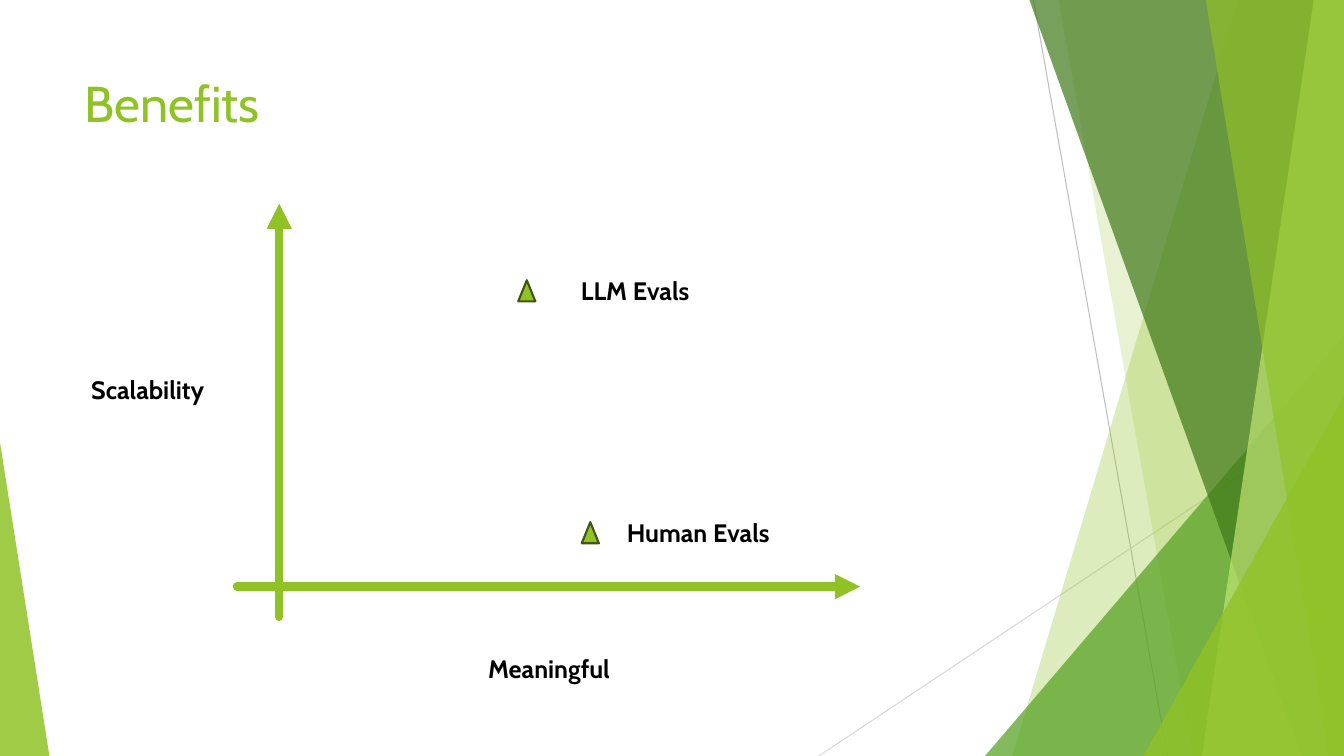
from lxml import etree
from pptx import Presentation
from pptx.dml.color import RGBColor
from pptx.enum.shapes import MSO_CONNECTOR, MSO_SHAPE
from pptx.enum.text import MSO_ANCHOR, PP_ALIGN
from pptx.oxml.ns import qn
from pptx.util import Inches, Pt

STRAIGHT = MSO_CONNECTOR.STRAIGHT
TRIANGLE = MSO_SHAPE.ISOSCELES_TRIANGLE
TOP, MIDDLE = MSO_ANCHOR.TOP, MSO_ANCHOR.MIDDLE
LEFT, CENTER = PP_ALIGN.LEFT, PP_ALIGN.CENTER

FONT = "Cabin"
WIDTH, HEIGHT = 13.33, 7.5
COLORS = {
    "lime": "90C226",
    "green": "54A021",
    "forest": "3F7819",
    "pale": "C0E474",
    "outline": "3F5511",
    "gray": "BFBFBF",
    "light_gray": "D9D9D9",
    "black": "000000",
}


def rgb(name):
    return RGBColor.from_string(COLORS[name])


def fill_shape(sp, color, opacity=100):
    sp.shadow.inherit = False
    sp.fill.solid()
    sp.fill.fore_color.rgb = rgb(color)
    if opacity < 100:
        clr = sp._element.spPr.find(qn("a:solidFill"))[0]
        etree.SubElement(clr, qn("a:alpha"), val=str(opacity * 1000))


def add_line(s, start, end, color, width):
    line = s.shapes.add_connector(STRAIGHT, *map(Inches, start + end))
    line.line.color.rgb = rgb(color)
    line.line.width = Pt(width)
    etree.SubElement(line._element.spPr, qn("a:effectLst"))
    return line


def add_axis(s, start, end):
    axis = add_line(s, start, end, "lime", 6)
    ln = axis.line._get_or_add_ln()
    ln.set("cap", "rnd")
    etree.SubElement(ln, qn("a:tailEnd"), type="triangle")


def add_band(s, points, color, opacity):
    """Draw a borderless translucent polygon."""
    corners = [(Inches(x), Inches(y)) for x, y in points]
    builder = s.shapes.build_freeform(*corners[0], scale=1.0)
    builder.add_line_segments(corners[1:], close=True)
    sp = builder.convert_to_shape()
    fill_shape(sp, color, opacity)
    sp.line.fill.background()


def add_triangle(s, box, apex, color, opacity=100):
    sp = s.shapes.add_shape(TRIANGLE, *map(Inches, box))
    sp.adjustments[0] = apex
    fill_shape(sp, color, opacity)
    sp.line.fill.background()
    return sp


def add_marker(s, x, y):
    sp = add_triangle(s, (x, y, 0.17, 0.21), 0.5, "lime")
    sp.line.color.rgb = rgb("outline")
    sp.line.width = Pt(1.5)


def add_text(s, text, box, size=18, color="black", bold=True,
             align=CENTER, anchor=MIDDLE, wrap=False):
    tf = s.shapes.add_textbox(*map(Inches, box)).text_frame
    tf.word_wrap = wrap
    tf.vertical_anchor = anchor
    p = tf.paragraphs[0]
    p.alignment = align
    r = p.add_run()
    r.text = text
    r.font.name = FONT
    r.font.size = Pt(size)
    r.font.bold = bold
    r.font.color.rgb = rgb(color)


def add_right_band(s, top_x, bottom_x, color, opacity):
    """Draw a band from a slanted left edge to the slide's right edge."""
    points = [(top_x, 0), (WIDTH, 0), (WIDTH, HEIGHT), (bottom_x, HEIGHT)]
    add_band(s, points, color, opacity)


def add_corner(s, width, height, color, opacity, right=True):
    """Draw a right-angled triangle in a bottom corner of the slide."""
    left = WIDTH - width if right else 0
    box = (left, HEIGHT - height, width, height)
    add_triangle(s, box, int(right), color, opacity)


def add_decoration(s):
    add_line(s, (10.25, 0), (11.58, HEIGHT), "gray", 0.75)
    add_line(s, (WIDTH, 4.03), (8.12, HEIGHT), "light_gray", 0.75)
    add_right_band(s, 12.28, 10.04, "lime", 30)
    add_right_band(s, 10.5, 11.83, "lime", 20)
    add_corner(s, 3.56, 4.17, "green", 72)
    add_right_band(s, 10.21, 12.91, "forest", 70)
    add_right_band(s, 13.03, 11.92, "pale", 70)
    add_right_band(s, 11.96, 13.18, "lime", 65)
    add_corner(s, 1.99, 3.57, "lime", 80)
    add_corner(s, 0.49, 3.11, "lime", 85, right=False)


def main():
    prs = Presentation()
    prs.slide_width, prs.slide_height = Inches(WIDTH), Inches(HEIGHT)
    s = prs.slides.add_slide(prs.slide_layouts[6])

    add_decoration(s)
    add_text(s, "Benefits", (0.74, 0.67, 9.4, 1.44), 36, "lime", False,
             LEFT, TOP, True)

    add_axis(s, (2.77, 6.12), (2.77, 2.02))
    add_axis(s, (2.35, 5.82), (8.53, 5.82))
    add_text(s, "Meaningful", (4.7, 6.43, 1.49, 0.4))
    add_text(s, "Scalability", (0.76, 3.66, 1.41, 0.4))

    add_marker(s, 5.77, 5.18)
    add_text(s, "Human Evals", (6.08, 5.08, 1.69, 0.4))
    add_marker(s, 5.14, 2.78)
    add_text(s, "LLM Evals", (5.63, 2.68, 1.34, 0.4))

    prs.save("out.pptx")


if __name__ == "__main__":
    main()
